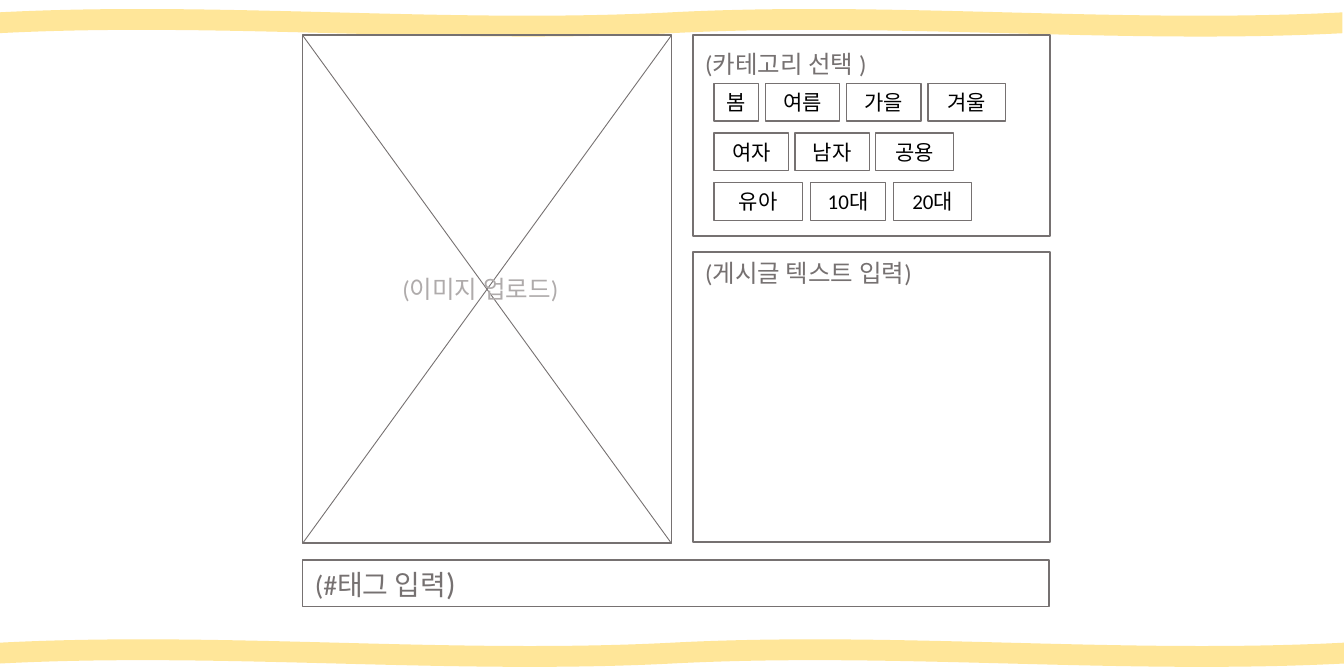
from lxml import etree
from pptx import Presentation
from pptx.dml.color import RGBColor
from pptx.enum.shapes import MSO_CONNECTOR, MSO_SHAPE
from pptx.enum.text import MSO_ANCHOR, MSO_AUTO_SIZE, PP_ALIGN
from pptx.oxml.ns import qn
from pptx.util import Cm, Pt

RECT, WAVE = MSO_SHAPE.RECTANGLE, MSO_SHAPE.DOUBLE_WAVE
STRAIGHT = MSO_CONNECTOR.STRAIGHT
TOP, MIDDLE = MSO_ANCHOR.TOP, MSO_ANCHOR.MIDDLE
LEFT, CENTER = PP_ALIGN.LEFT, PP_ALIGN.CENTER
GROW, FIXED = MSO_AUTO_SIZE.SHAPE_TO_FIT_TEXT, MSO_AUTO_SIZE.NONE

SLIDE_W, SLIDE_H = 27.1, 13.54
GRAY, PALE_GRAY, BLACK, YELLOW = "767171", "AFABAB", "000000", "FFE699"

# Boxes in cm: left, top, width, height
TOP_BAND = (-0.03, 0.18, SLIDE_W, 0.56)
BOTTOM_BAND = (0, 12.88, SLIDE_W, 0.56)
IMAGE_BOX = (6.1, 0.71, 7.44, 10.24)
CATEGORY_BOX = (13.97, 0.71, 7.21, 4.04)
POST_BOX = (13.97, 5.08, 7.21, 5.84)
TAG_BOX = (6.1, 11.28, 15.06, 0.94)

# Category buttons: gap within the row, then (label, width)
CATEGORY_ROWS = [
    (0.14, [("봄", 0.89), ("여름", 1.5), ("가을", 1.5), ("겨울", 1.57)]),
    (0.13, [("여자", 1.5), ("남자", 1.5), ("공용", 1.57)]),
    (0.17, [("유아", 1.78), ("10대", 1.5), ("20대", 1.57)]),
]
BUTTON_H, ROW_PITCH = 0.76, 1.0


def color(hex_value):
    return RGBColor.from_string(hex_value)


def write(shape, runs, ink, align=LEFT, **frame_format):
    """Write runs of (text, size) into a shape."""
    frame = shape.text_frame
    settings = {"word_wrap": True, "vertical_anchor": TOP, "auto_size": GROW}
    for name, value in (settings | frame_format).items():
        setattr(frame, name, value)
    paragraph = frame.paragraphs[0]
    paragraph.alignment = align
    for text, size in runs:
        run = paragraph.add_run()
        run.text = text
        for name, value in {"name": "Calibri", "size": Pt(size)}.items():
            setattr(run.font, name, value)
        run.font.color.rgb = color(ink)


def add_frame(shapes, box, line_width=1):
    frame = shapes.add_shape(RECT, *map(Cm, box))
    frame.shadow.inherit = False
    frame.fill.background()
    frame.line.color.rgb = color(GRAY)
    frame.line.width = Pt(line_width)
    return frame


def add_label(shapes, box, text, ink=GRAY, **text_format):
    label = shapes.add_textbox(*map(Cm, box))
    write(label, [(text, 14)], ink, **text_format)


def add_band(shapes, box):
    band = shapes.add_shape(WAVE, *map(Cm, box))
    band.shadow.inherit = False
    band.adjustments[0], band.adjustments[1] = 0.125, 0
    band.fill.solid()
    band.fill.fore_color.rgb = color(YELLOW)
    band.line.fill.background()


def add_image_upload(shapes, box):
    left, top, width, height = box
    right, bottom = left + width, top + height
    placeholder = shapes.add_group_shape().shapes
    add_frame(placeholder, box)
    # Crossing diagonals
    for start, end in ((left, right), (right, left)):
        diagonal = placeholder.add_connector(
            STRAIGHT, Cm(start), Cm(top), Cm(end), Cm(bottom))
        diagonal.line.color.rgb = color(GRAY)
        diagonal.line.width = Pt(0.5)
        etree.SubElement(diagonal._element.spPr, qn("a:effectLst"))
    # Centred caption
    label_w, label_h = 3.91, 0.86
    label_box = (left + (width - label_w) / 2, top + (height - label_h) / 2,
                 label_w, label_h)
    add_label(shapes, label_box, "(이미지 업로드)", PALE_GRAY, word_wrap=False)


def add_category_picker(shapes, box):
    left, top, width, _ = box
    add_frame(shapes, box)
    add_label(shapes, (left, top + 0.15, width, 0.86), "(카테고리 선택 )")
    # Rows of buttons
    for row, (gap, buttons) in enumerate(CATEGORY_ROWS):
        button_left = left + 0.43
        button_top = top + 0.97 + row * ROW_PITCH
        for name, button_w in buttons:
            button = add_frame(
                shapes, (button_left, button_top, button_w, BUTTON_H), 0.75)
            write(button, [(name, 12)], BLACK, CENTER)
            button_left += button_w + gap


def add_post_input(shapes, box):
    left, top, width, _ = box
    add_frame(shapes, box)
    add_label(shapes, (left, top, width, 1.85), "(게시글 텍스트 입력)")


def add_tag_input(shapes, box):
    tag = add_frame(shapes, box)
    write(tag, [("(#태그 입력", 16), (")", 18)], GRAY,
          vertical_anchor=MIDDLE, auto_size=FIXED)


def main():
    deck = Presentation()
    deck.slide_width, deck.slide_height = Cm(SLIDE_W), Cm(SLIDE_H)
    shapes = deck.slides.add_slide(deck.slide_layouts[6]).shapes
    add_band(shapes, TOP_BAND)
    add_image_upload(shapes, IMAGE_BOX)
    add_category_picker(shapes, CATEGORY_BOX)
    add_post_input(shapes, POST_BOX)
    add_tag_input(shapes, TAG_BOX)
    add_band(shapes, BOTTOM_BAND)
    deck.save("out.pptx")


if __name__ == "__main__":
    main()
